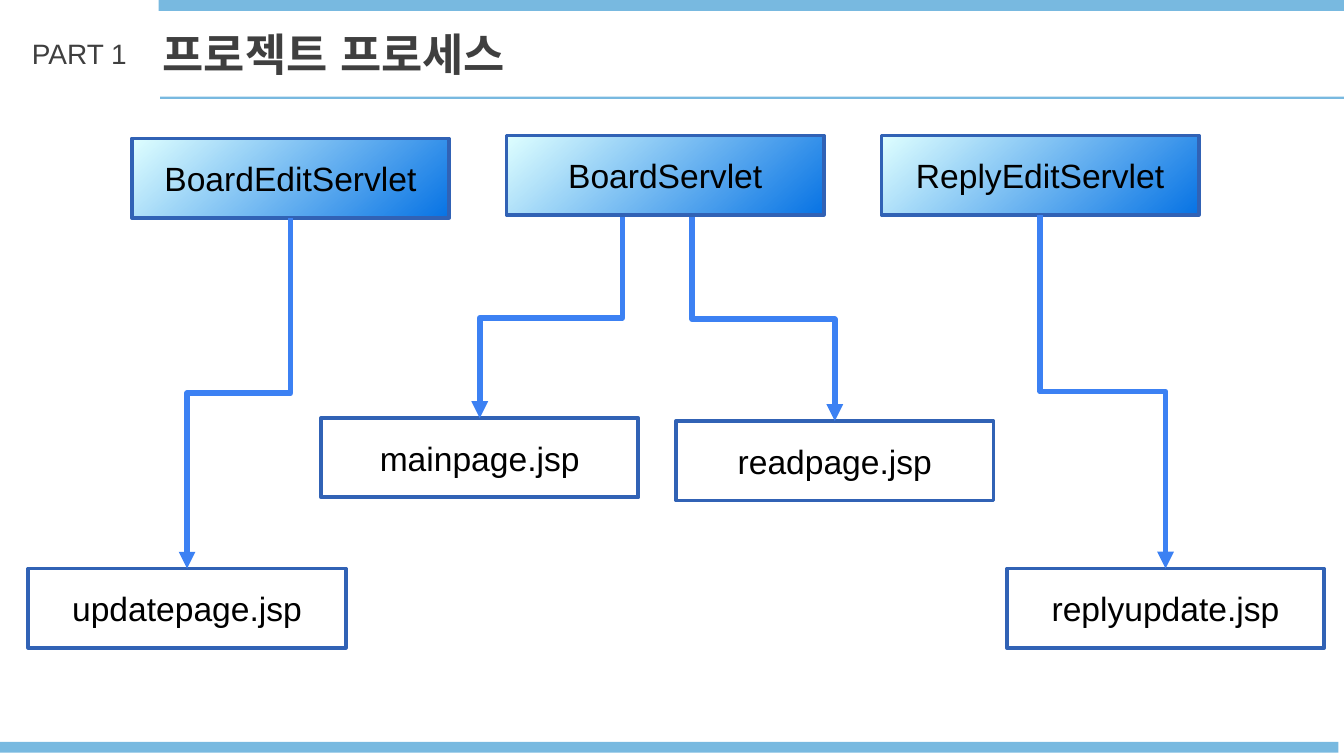
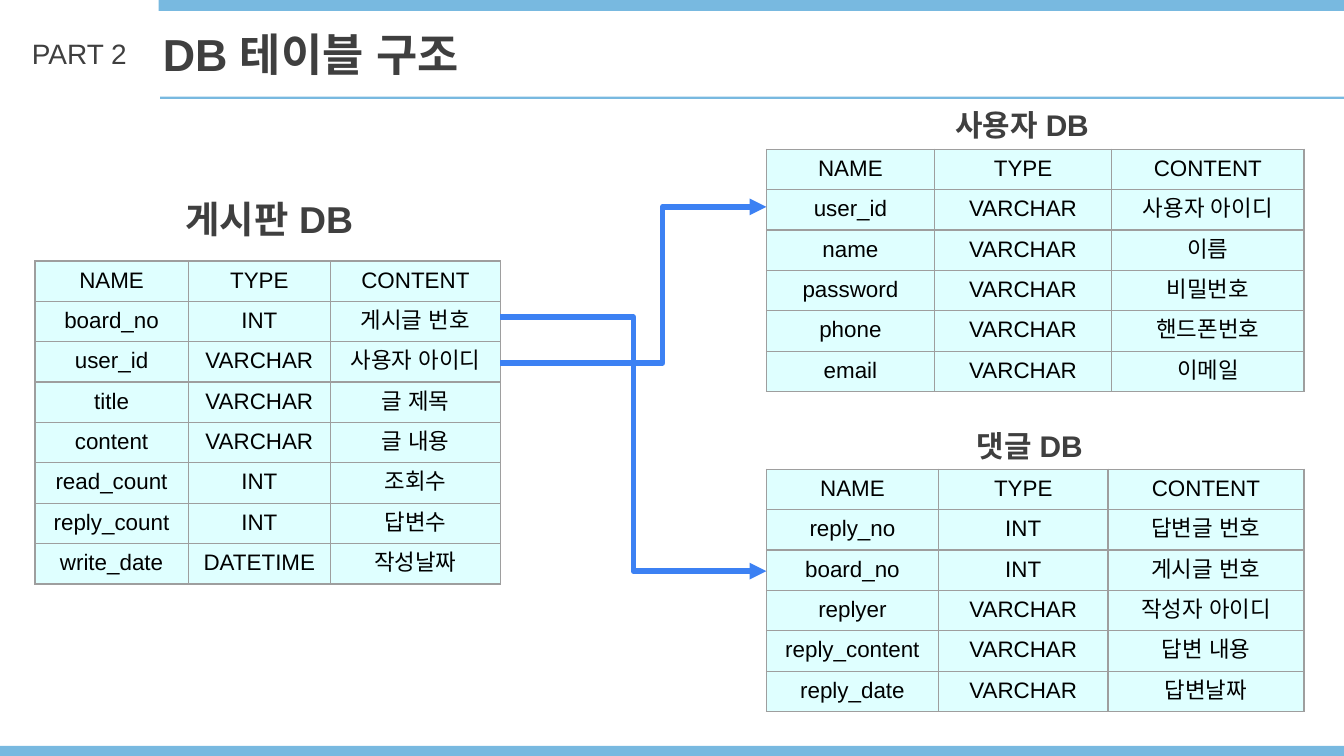
"""Builds two slides on a board project: its servlet flow and its database tables."""
import dataclasses

import lxml.etree
import pptx
import pptx.dml.color
import pptx.enum.dml
import pptx.enum.shapes
import pptx.enum.text
import pptx.oxml.ns
import pptx.util

Pt = pptx.util.Pt
qn = pptx.oxml.ns.qn
ALIGN = pptx.enum.text.PP_ALIGN
ANCHOR = pptx.enum.text.MSO_ANCHOR
RECTANGLE = pptx.enum.shapes.MSO_SHAPE.RECTANGLE
ELBOW = pptx.enum.shapes.MSO_CONNECTOR.ELBOW


@dataclasses.dataclass(frozen=True)
class Theme:
    font: str = "Arial"
    band: str = "78B9E0"
    heading: str = "3F3F3F"
    ink: str = "000000"
    pale: str = "DFFFFF"
    deep: str = "0773E4"
    outline: str = "3162B5"
    arrow: str = "3C81F3"
    grid: str = "9E9E9E"
    title_size: float = 24
    part_size: float = 15
    box_size: float = 18
    cell_size: float = 12


THEME = Theme()
WIDTH, HEIGHT = 720, 405
BAND_HEIGHT = 5.8
BOX_WIDTH, BOX_HEIGHT = 170, 42.5
ROW_HEIGHT = 21.6

PROCESS = {"part": "PART 1", "title": "프로젝트 프로세스", "foot": (-2.9, 397.4)}
STRUCTURE = {"part": "PART 2", "title": "DB 테이블 구조", "foot": (0, 399.6)}

SERVLETS = {
    "BoardServlet": (271.4, 72.6),
    "BoardEditServlet": (70.6, 74.2),
    "ReplyEditServlet": (472.2, 72.6),
}
PAGES = {
    "replyupdate.jsp": (539.4, 304.6),
    "readpage.jsp": (362.2, 225.6),
    "updatepage.jsp": (15.2, 304.6),
    "mainpage.jsp": (172, 224),
}
FORWARDS = [
    ("BoardEditServlet", "updatepage.jsp", 0, 0),
    ("ReplyEditServlet", "replyupdate.jsp", 0, 0),
    ("BoardServlet", "readpage.jsp", 14.4, 1.4),
    ("BoardServlet", "mainpage.jsp", -23, 1.4),
]

HEADER = ("NAME", "TYPE", "CONTENT")
DATABASES = [
    {
        "caption": "게시판 DB", "caption_at": (92.2, 101.5, 120, 31.5), "caption_size": 20,
        "at": (18.8, 139.8), "columns": (82, 76.4, 90.8),
        "fields": [
            ("board_no", "INT", "게시글 번호"),
            ("user_id", "VARCHAR", "사용자 아이디"),
            ("title", "VARCHAR", "글 제목"),
            ("content", "VARCHAR", "글 내용"),
            ("read_count", "INT", "조회수"),
            ("reply_count", "INT", "답변수"),
            ("write_date", "DATETIME", "작성날짜"),
        ],
    },
    {
        "caption": "사용자 DB", "caption_at": (504.8, 53.4, 120, 26.6), "caption_size": 16,
        "at": (410.6, 80), "columns": (90, 95, 103),
        "fields": [
            ("user_id", "VARCHAR", "사용자 아이디"),
            ("name", "VARCHAR", "이름"),
            ("password", "VARCHAR", "비밀번호"),
            ("phone", "VARCHAR", "핸드폰번호"),
            ("email", "VARCHAR", "이메일"),
        ],
    },
    {
        "caption": "댓글 DB", "caption_at": (516.2, 225.4, 120, 26.6), "caption_size": 16,
        "at": (410.6, 251.4), "columns": (92.2, 90.8, 105),
        "fields": [
            ("reply_no", "INT", "답변글 번호"),
            ("board_no", "INT", "게시글 번호"),
            ("replyer", "VARCHAR", "작성자 아이디"),
            ("reply_content", "VARCHAR", "답변 내용"),
            ("reply_date", "VARCHAR", "답변날짜"),
        ],
    },
]
KEY_LEFT, KEY_RIGHT = 268, 410.6
KEYS = [(194.4, 110.9, 0.61), (170, 306, 0.5)]


def rgb(code):
    return pptx.dml.color.RGBColor.from_string(code)


def write(frame, text, size, color, bold=False, align=ALIGN.LEFT):
    frame.text = text
    paragraph = frame.paragraphs[0]
    paragraph.alignment = align
    for run in paragraph.runs:
        run.font.size = Pt(size)
        run.font.bold = bold
        run.font.color.rgb = rgb(color)
        run.font.name = THEME.font
        east_asian = lxml.etree.SubElement(run.font._element, qn("a:ea"))
        east_asian.set("typeface", THEME.font)


def add_bar(slide, left, top, width, height):
    bar = slide.shapes.add_shape(RECTANGLE, Pt(left), Pt(top), Pt(width), Pt(height))
    bar.shadow.inherit = False
    bar.fill.solid()
    bar.fill.fore_color.rgb = rgb(THEME.band)
    bar.line.fill.background()


def add_label(slide, text, at, size, bold=False):
    label = slide.shapes.add_textbox(*map(Pt, at))
    label.text_frame.word_wrap = True
    write(label.text_frame, text, size, THEME.heading, bold)


def start_slide(deck, content):
    slide = deck.slides.add_slide(deck.slide_layouts[5])
    add_bar(slide, 85, 0, 635, BAND_HEIGHT)
    add_bar(slide, *content["foot"], WIDTH, BAND_HEIGHT)
    add_bar(slide, 85.8, 51.8, 635, 1.3)
    add_label(slide, content["part"], (10, 15.8, 90, 25.2), THEME.part_size)
    title = slide.shapes.title
    title.left, title.top, title.width, title.height = map(Pt, (80, 10.8, 637, 36))
    title.text_frame.vertical_anchor = ANCHOR.TOP
    title.text_frame.auto_size = pptx.enum.text.MSO_AUTO_SIZE.NONE
    write(title.text_frame, content["title"], THEME.title_size, THEME.heading, True)
    return slide


def add_box(slide, text, at, shaded):
    box = slide.shapes.add_shape(RECTANGLE, *map(Pt, at), Pt(BOX_WIDTH), Pt(BOX_HEIGHT))
    box.shadow.inherit = False
    if shaded:
        box.fill.gradient()
        box.fill.gradient_angle = 312
        for stop, color in zip(box.fill.gradient_stops, (THEME.pale, THEME.deep)):
            stop.color.rgb = rgb(color)
    else:
        box.fill.background()
    box.line.color.rgb = rgb(THEME.outline)
    box.line.width = Pt(2)
    box.text_frame.vertical_anchor = ANCHOR.MIDDLE
    write(box.text_frame, text, THEME.box_size, THEME.ink, align=ALIGN.CENTER)


def add_arrow(slide, start, end, bend=0.5, downward=False):
    (x1, y1), (x2, y2) = start, end
    rotation = 0
    if downward:
        center_x, center_y = (x1 + x2) / 2, (y1 + y2) / 2
        half_run, half_rise = abs(y2 - y1) / 2, abs(x2 - x1) / 2
        rightward = x2 > x1
        rotation = 270 if rightward else 90
        x1, x2 = center_x - half_run, center_x + half_run
        y1, y2 = center_y - half_rise, center_y + half_rise
        if rightward:
            x1, x2 = x2, x1
    arrow = slide.shapes.add_connector(ELBOW, Pt(x1), Pt(y1), Pt(x2), Pt(y2))
    arrow.line.color.rgb = rgb(THEME.arrow)
    arrow.line.width = Pt(3)
    properties = arrow._element.spPr
    if rotation:
        properties.find(qn("a:xfrm")).set("rot", str(rotation * 60000))
    guides = properties.find(qn("a:prstGeom")).find(qn("a:avLst"))
    guide = lxml.etree.SubElement(guides, qn("a:gd"))
    guide.set("name", "adj1")
    guide.set("fmla", f"val {round(bend * 100000)}")
    head = lxml.etree.SubElement(properties.find(qn("a:ln")), qn("a:tailEnd"))
    head.set("type", "triangle")
    lxml.etree.SubElement(properties, qn("a:effectLst"))


def format_cell(cell, text):
    properties = cell._tc.get_or_add_tcPr()
    for side in ("lnL", "lnR", "lnT", "lnB"):
        border = lxml.etree.SubElement(properties, qn(f"a:{side}"))
        border.set("w", str(Pt(0.75)))
        fill = lxml.etree.SubElement(border, qn("a:solidFill"))
        lxml.etree.SubElement(fill, qn("a:srgbClr")).set("val", THEME.grid)
    cell.fill.solid()
    cell.fill.fore_color.rgb = rgb(THEME.pale)
    write(cell.text_frame, text, THEME.cell_size, THEME.ink, align=ALIGN.CENTER)


def add_database(slide, database):
    records = [HEADER, *database["fields"]]
    columns = database["columns"]
    frame = slide.shapes.add_table(
        len(records), len(columns), *map(Pt, database["at"]),
        Pt(sum(columns)), Pt(ROW_HEIGHT * len(records)))
    table = frame.table
    table.first_row = table.horz_banding = False
    for column, width in zip(table.columns, columns):
        column.width = Pt(width)
    for row, record in zip(table.rows, records):
        row.height = Pt(ROW_HEIGHT)
        for cell, text in zip(row.cells, record):
            format_cell(cell, text)
    add_label(slide, database["caption"], database["caption_at"], database["caption_size"], True)


def build_process(deck):
    slide = start_slide(deck, PROCESS)
    for boxes, shaded in ((SERVLETS, True), (PAGES, False)):
        for text, at in boxes.items():
            add_box(slide, text, at, shaded)
    for servlet, page, shift, drop in FORWARDS:
        (left, top), (page_left, page_top) = SERVLETS[servlet], PAGES[page]
        start = (left + BOX_WIDTH / 2 + shift, top + BOX_HEIGHT + drop)
        add_arrow(slide, start, (page_left + BOX_WIDTH / 2, page_top), downward=True)


def build_structure(deck):
    slide = start_slide(deck, STRUCTURE)
    for database in DATABASES:
        add_database(slide, database)
    for start_y, end_y, bend in KEYS:
        add_arrow(slide, (KEY_LEFT, start_y), (KEY_RIGHT, end_y), bend)


deck = pptx.Presentation()
deck.slide_width, deck.slide_height = Pt(WIDTH), Pt(HEIGHT)
build_process(deck)
build_structure(deck)
deck.save("out.pptx")
